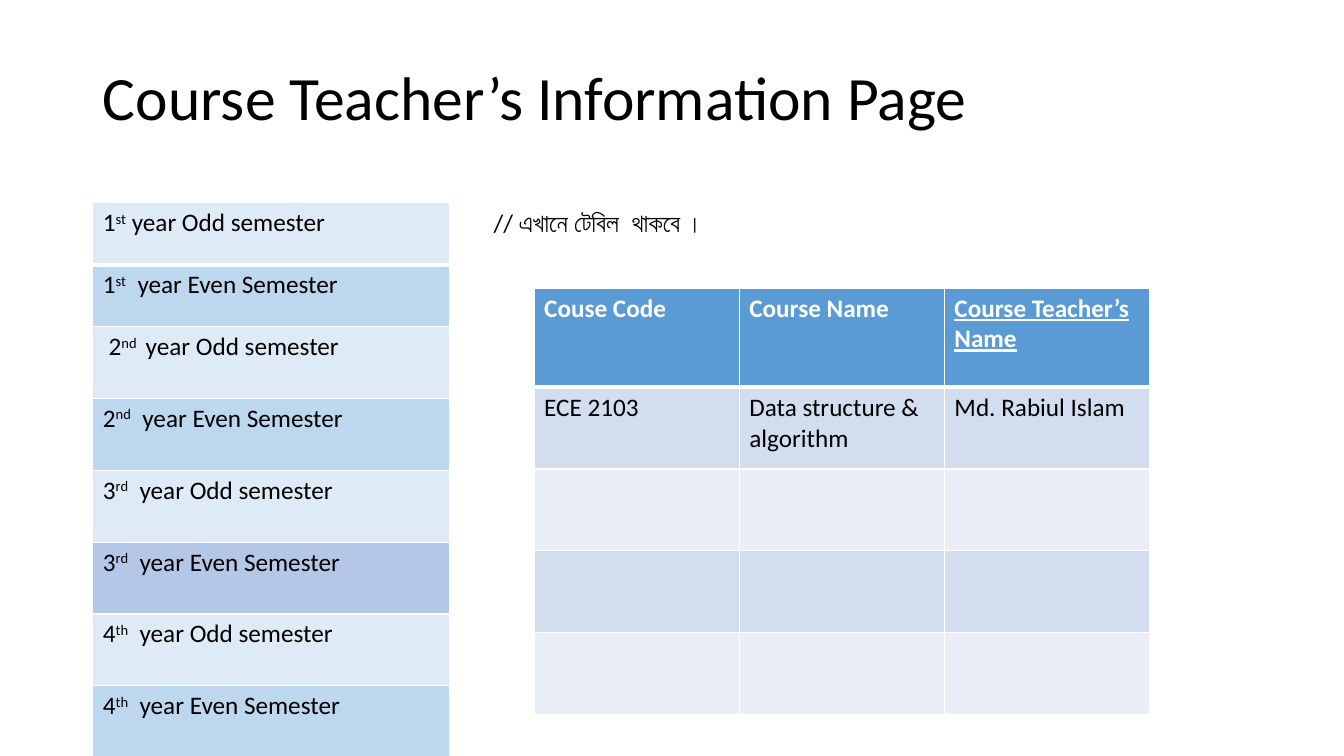
from lxml import etree
from pptx import Presentation
from pptx.dml.color import RGBColor
from pptx.enum.text import MSO_ANCHOR, PP_ALIGN
from pptx.oxml.ns import qn
from pptx.util import Cm, Pt

LEFT = PP_ALIGN.LEFT
MIDDLE = MSO_ANCHOR.MIDDLE
TITLE_ONLY = 5
FONT = "Calibri"
BLACK, WHITE = "000000", "FFFFFF"
PALE_BLUE, SKY_BLUE, PERIWINKLE = "DEEBF7", "BDD7EE", "B4C7E7"
HEADER_BLUE, BAND_DARK, BAND_LIGHT = "5B9BD5", "D2DEEF", "EAEFF7"

SEMESTERS = [
    ("1^st^ year Odd semester", PALE_BLUE),
    ("1^st^  year Even Semester", SKY_BLUE),
    (" 2^nd ^ year Odd semester", PALE_BLUE),
    ("2^nd^  year Even Semester", SKY_BLUE),
    ("3^rd^  year Odd semester", PALE_BLUE),
    ("3^rd^  year Even Semester", PERIWINKLE),
    ("4^th^  year Odd semester", PALE_BLUE),
    ("4^th^  year Even Semester", SKY_BLUE),
]
COURSES = [
    ["Couse Code", "Course Name", "Course Teacher’s Name"],
    ["ECE 2103", "Data structure & algorithm", "Md. Rabiul Islam"],
    ["", "", ""],
    ["", "", ""],
    ["", "", ""],
]
COURSE_FILLS = [HEADER_BLUE, BAND_DARK, BAND_LIGHT, BAND_DARK, BAND_LIGHT]


def color(value):
    return RGBColor.from_string(value)


def write_text(frame, text, size=18, fill=BLACK, bold=False, underline=False, spacing=1.0):
    frame.word_wrap = True
    paragraph = frame.paragraphs[0]
    paragraph.alignment = LEFT
    paragraph.line_spacing = spacing
    for index, part in enumerate(text.split("^")):
        run = paragraph.add_run()
        run.text = part
        font = run.font
        font.name, font.size = FONT, Pt(size)
        font.bold, font.underline = bold, underline
        font.color.rgb = color(fill)
        if index % 2:
            run._r.get_or_add_rPr().set("baseline", "30000")


def add_border(cell, side, width):
    properties = cell._tc.get_or_add_tcPr()
    line = etree.SubElement(properties, qn(f"a:ln{side}"), w=str(Pt(width)))
    solid = etree.SubElement(line, qn("a:solidFill"))
    etree.SubElement(solid, qn("a:srgbClr"), val=WHITE)


def format_cell(cell, row, fill):
    add_border(cell, "L", 1)
    add_border(cell, "R", 1)
    add_border(cell, "T", 3 if row == 1 else 1)
    add_border(cell, "B", 3 if row == 0 else 1)
    cell.fill.solid()
    cell.fill.fore_color.rgb = color(fill)


def add_grid(slide, left, top, column_width, heights, fills, columns):
    shape = slide.shapes.add_table(
        len(heights), columns, Cm(left), Cm(top),
        Cm(column_width * columns), Cm(sum(heights)))
    table = shape.table
    for column in table.columns:
        column.width = Cm(column_width)
    for index, (height, fill) in enumerate(zip(heights, fills)):
        table.rows[index].height = Cm(height)
        for cell in table.rows[index].cells:
            format_cell(cell, index, fill)
    return table


def add_title(slide, text):
    title = slide.shapes.title
    title.left, title.top, title.width, title.height = Cm(2.34), Cm(1.02), Cm(29.21), Cm(3.05)
    title.text_frame.vertical_anchor = MIDDLE
    write_text(title.text_frame, text, size=44, spacing=0.9)


def add_semester_menu(slide):
    heights = [1.56] * 2 + [1.81] * 6
    fills = [fill for _, fill in SEMESTERS]
    table = add_grid(slide, 2.34, 5.11, 9, heights, fills, 1)
    for row, (semester, _) in enumerate(SEMESTERS):
        write_text(table.cell(row, 0).text_frame, semester)


def add_note(slide, text):
    box = slide.shapes.add_textbox(Cm(12.19), Cm(5.11), Cm(20.75), Cm(1.02))
    write_text(box.text_frame, text)


def add_course_table(slide):
    heights = [2.5] + [2.06] * 4
    table = add_grid(slide, 13.46, 7.26, 5.17, heights, COURSE_FILLS, 3)
    for row, course in enumerate(COURSES):
        header = row == 0
        for column, text in enumerate(course):
            if text:
                write_text(table.cell(row, column).text_frame, text,
                           fill=WHITE if header else BLACK, bold=header,
                           underline=header and column == 2)


def main():
    presentation = Presentation()
    presentation.slide_width, presentation.slide_height = Cm(33.87), Cm(19.05)
    slide = presentation.slides.add_slide(presentation.slide_layouts[TITLE_ONLY])
    add_title(slide, "Course Teacher’s Information Page")
    add_semester_menu(slide)
    add_note(slide, "// এখানে টেবিল  থাকবে ।")
    add_course_table(slide)
    presentation.save("out.pptx")


if __name__ == "__main__":
    main()
